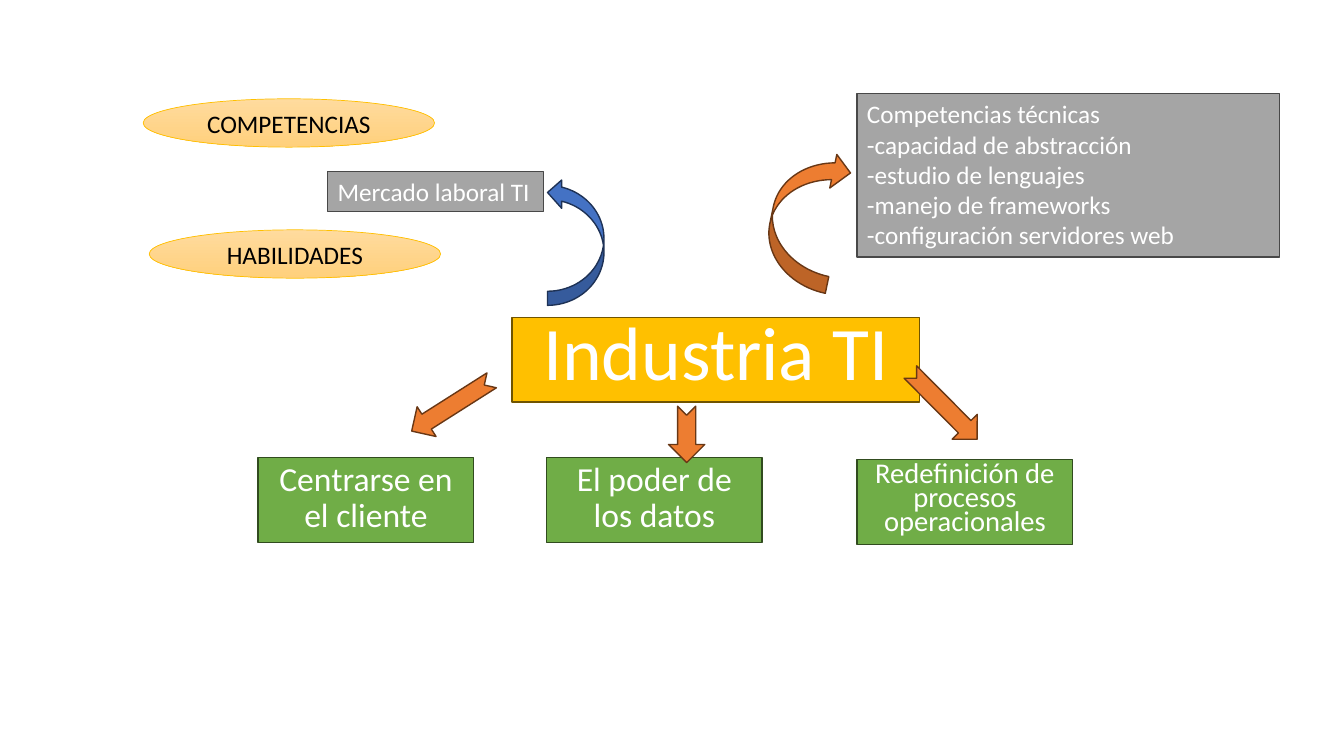
from pptx import Presentation
from pptx.dml.color import RGBColor
from pptx.enum.shapes import MSO_SHAPE
from pptx.enum.text import MSO_ANCHOR, PP_ALIGN
from pptx.util import Inches, Pt

RECTANGLE, OVAL = MSO_SHAPE.RECTANGLE, MSO_SHAPE.OVAL
NOTCHED, CURVED = MSO_SHAPE.NOTCHED_RIGHT_ARROW, MSO_SHAPE.CURVED_DOWN_ARROW
LEFT, CENTER = PP_ALIGN.LEFT, PP_ALIGN.CENTER
TOP, MIDDLE, BOTTOM = MSO_ANCHOR.TOP, MSO_ANCHOR.MIDDLE, MSO_ANCHOR.BOTTOM

FONT = "Calibri"
COLORS = {
    "white": "FFFFFF", "black": "000000",
    "gold": "FFC000", "gold line": "705400",
    "green": "70AD47", "green line": "314C1F",
    "gray": "A5A5A5", "gray line": "484848",
    "orange": "ED7D31", "orange line": "683715",
    "blue": "4472C4", "blue line": "1E3256",
    "pale top": "FFDB9E", "pale bottom": "FFD07C",
}

# Content: text, position, size and spacing of each part
TITLE = ("Industria TI", (5.08, 3.15, 4.04, 0.84))
TRENDS = [  # text, left, top, font size, line spacing
    ("Centrarse en el cliente", 2.56, 4.54, 24, 0.9),
    ("El poder de los datos", 5.42, 4.54, 24, 0.9),
    ("Redefinición de procesos operacionales", 8.5, 4.56, 20.4, 0.7),
]
TREND_SIZE = (2.14, 0.84)
NOTES = [
    (["Competencias técnicas", "-capacidad de abstracción", "-estudio de lenguajes",
      "-manejo de frameworks", "-configuración servidores web"], (8.5, 0.93, 4.19, 1.62)),
    (["Mercado laboral TI"], (3.25, 1.7, 2.14, 0.4)),
]
TOPICS = [("COMPETENCIAS", 1.42, 0.98), ("HABILIDADES", 1.48, 2.28)]
TOPIC_SIZE = (2.89, 0.48)
ARROWS = [  # kind, box, rotation, color, flipped
    (NOTCHED, (4.01, 3.85, 0.94, 0.35), 147.6, "orange", False),
    (NOTCHED, (8.89, 3.85, 0.94, 0.35), 45.2, "orange", False),
    (NOTCHED, (6.53, 4.13, 0.56, 0.36), 90, "orange", False),
    (CURVED, (7.3, 1.82, 1.39, 0.68), 281.8, "orange", False),
    (CURVED, (5.08, 2.12, 1.26, 0.56), 270, "blue", True),
]


def rgb(name):
    return RGBColor.from_string(COLORS[name])


def add_figure(slide, kind, box, fill, line, line_width=1):
    shape = slide.shapes.add_shape(kind, *map(Inches, box))
    shape.shadow.inherit = False
    shape.fill.solid()
    shape.fill.fore_color.rgb = rgb(fill)
    shape.line.color.rgb = rgb(line)
    shape.line.width = Pt(line_width)
    return shape


def write(shape, lines, size, color="white", anchor=TOP, **paragraph_format):
    frame = shape.text_frame
    frame.word_wrap = True
    frame.vertical_anchor = anchor
    frame.text = "\n".join(lines)
    for paragraph in frame.paragraphs:
        for name, value in paragraph_format.items():
            setattr(paragraph, name, value)
        font = paragraph.font
        for name, value in {"name": FONT, "size": Pt(size)}.items():
            setattr(font, name, value)
        font.color.rgb = rgb(color)


def main():
    presentation = Presentation()
    presentation.slide_width, presentation.slide_height = Inches(13.33), Inches(7.5)
    slide = presentation.slides.add_slide(presentation.slide_layouts[6])

    # Central title
    text, box = TITLE
    title = add_figure(slide, RECTANGLE, box, "gold", "gold line")
    write(title, [text], 54, anchor=BOTTOM, alignment=CENTER, line_spacing=0.9)

    # Trends below the title
    for text, left, top, size, spacing in TRENDS:
        trend = add_figure(slide, RECTANGLE, (left, top, *TREND_SIZE), "green", "green line")
        write(trend, [text], size, alignment=CENTER, line_spacing=spacing, space_before=Pt(10))

    # Gray notes
    for lines, box in NOTES:
        note = add_figure(slide, RECTANGLE, box, "gray", "gray line")
        write(note, lines, 18, alignment=LEFT)

    # Arrows
    for kind, box, rotation, color, flipped in ARROWS:
        arrow = add_figure(slide, kind, box, color, color + " line")
        arrow.rotation = rotation
        if flipped:
            arrow.element.spPr.xfrm.set("flipV", "1")

    # Topic ovals with a vertical gradient
    for text, left, top in TOPICS:
        topic = add_figure(slide, OVAL, (left, top, *TOPIC_SIZE), "pale top", "gold", 0.5)
        topic.fill.gradient()
        topic.fill.gradient_angle = 270
        for stop, color in zip(topic.fill.gradient_stops, ("pale top", "pale bottom")):
            stop.color.rgb = rgb(color)
        write(topic, [text], 18, "black", MIDDLE, alignment=CENTER)

    presentation.save("out.pptx")


if __name__ == "__main__":
    main()
